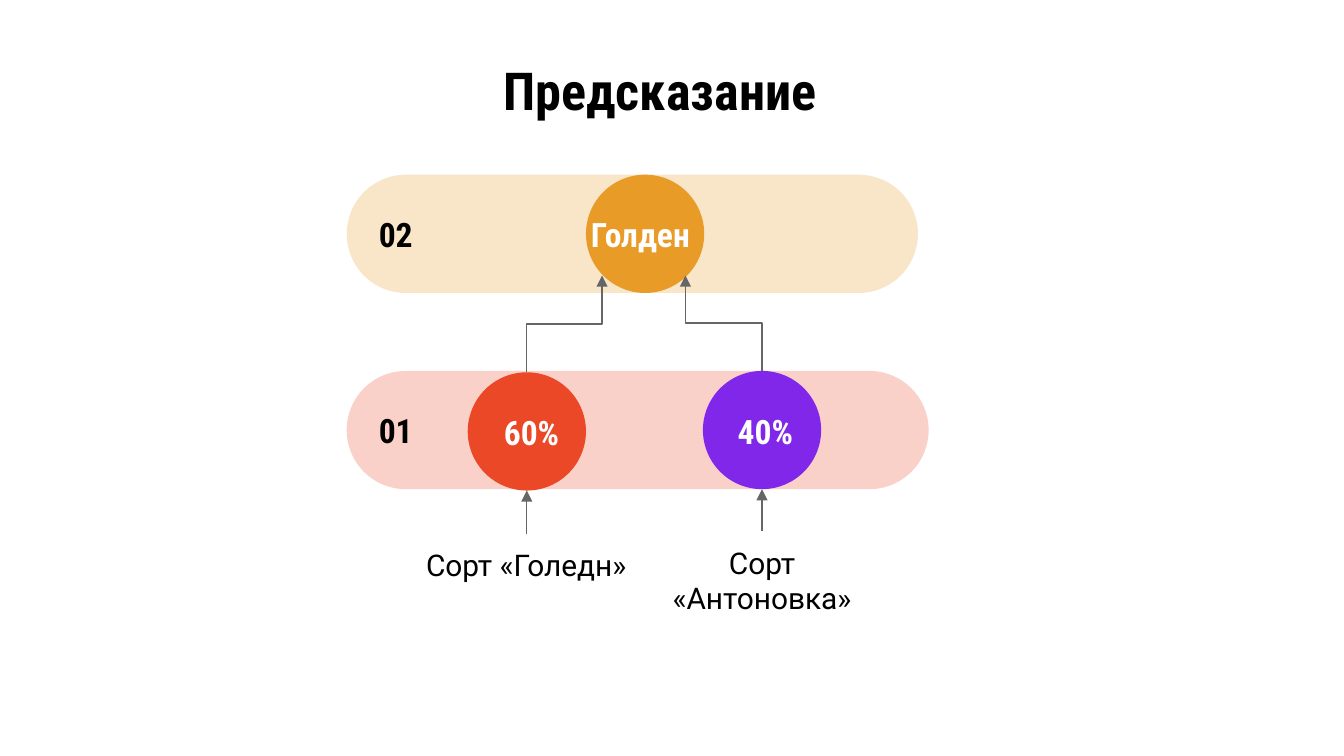
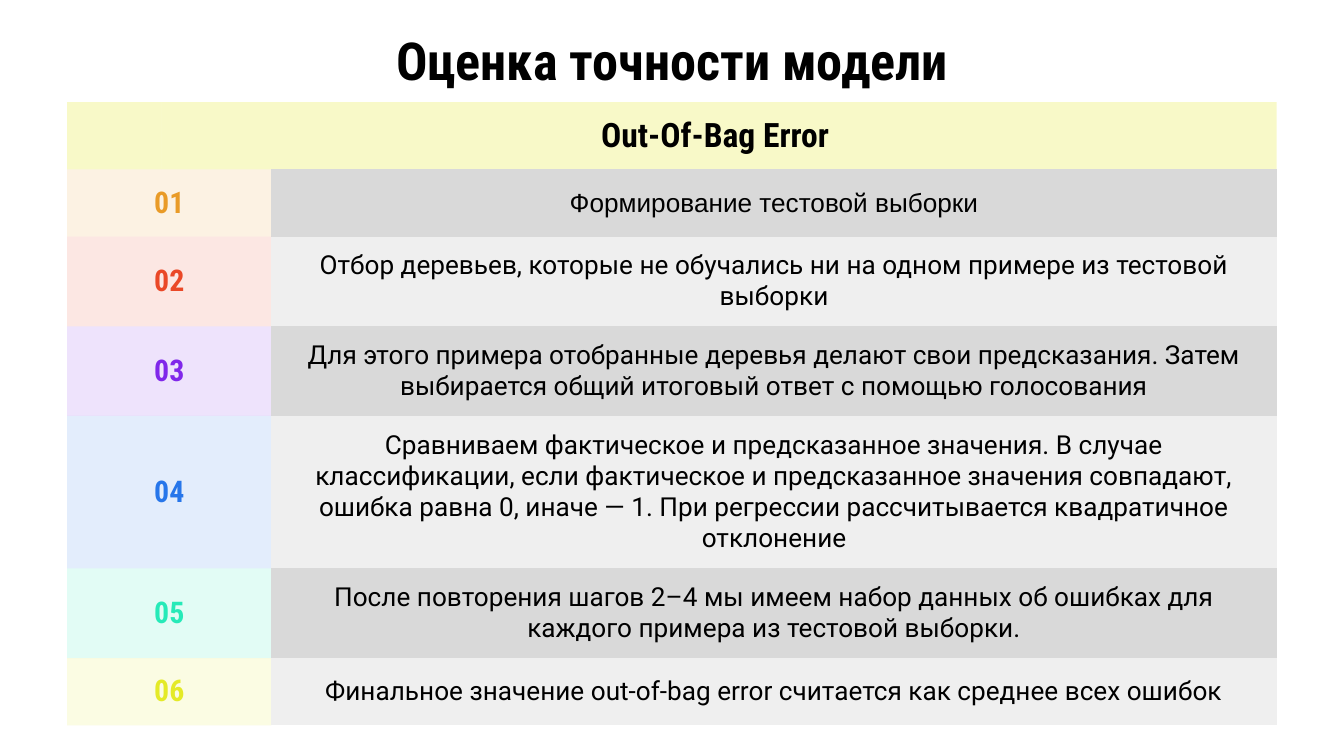
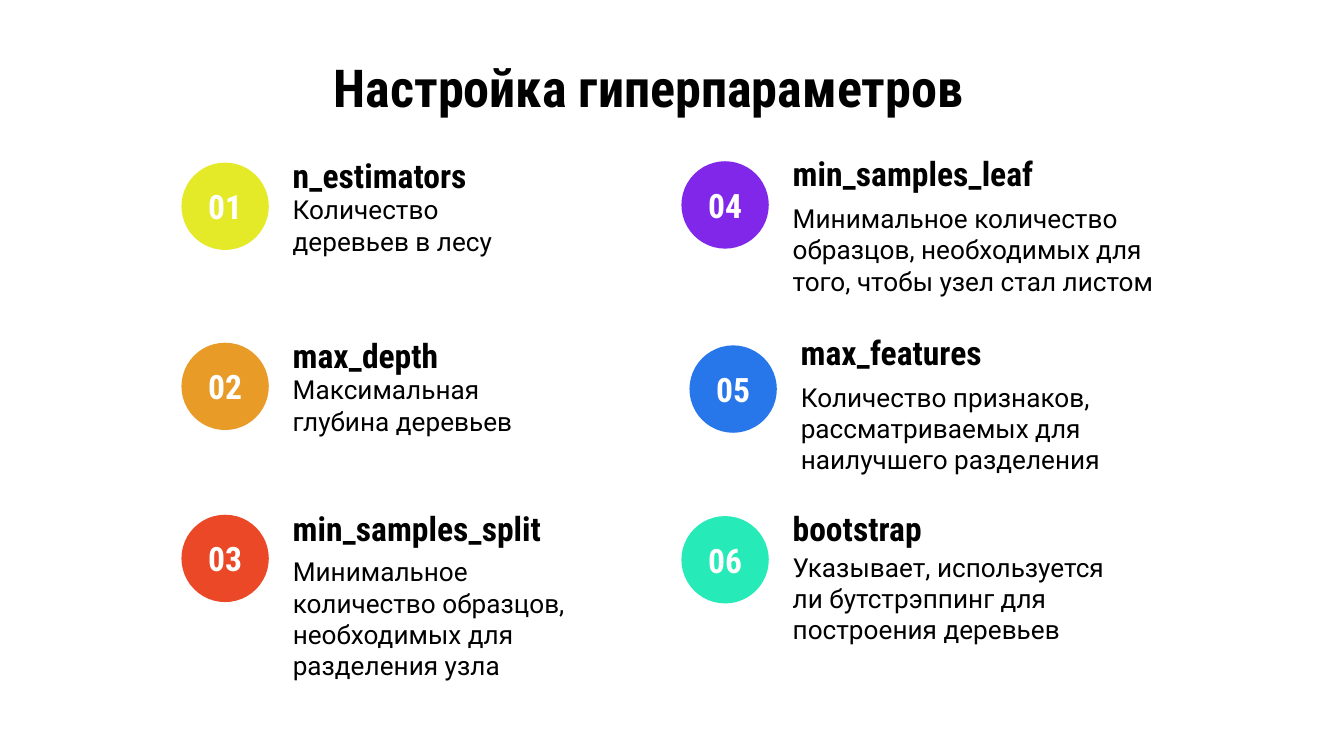
"""Build three slides on random forests: prediction, accuracy and hyperparameters."""
from pptx import Presentation
from pptx.dml.color import RGBColor
from pptx.enum.shapes import MSO_CONNECTOR, MSO_SHAPE
from pptx.enum.text import MSO_ANCHOR, PP_ALIGN
from pptx.oxml.ns import qn
from pptx.oxml.xmlchemy import OxmlElement
from pptx.util import Inches, Pt

CELL = Inches(0.1)
COLUMNS, ROWS = 100, 56.25
HEADING, BODY = "Roboto Condensed", "Roboto"
BLACK, WHITE, GREY = "000000", "FFFFFF", "666666"
ORANGE, RED, VIOLET = "E99B27", "EA4827", "8027EA"
BLUE, MINT, YELLOW = "2776EA", "26EAB8", "E4EA27"
STRIPES = "D9D9D9", "EFEFEF"
NO_TABLE_STYLE = "{2D5ABB26-0587-4C30-8999-92F81FD0307C}"


def rgb(code):
    return RGBColor.from_string(code)


def grid(*cells):
    return [round(cell * CELL) for cell in cells]


def paint(fill, color, opacity=100):
    fill.solid()
    fill.fore_color.rgb = rgb(color)
    if opacity < 100:
        alpha = OxmlElement("a:alpha")
        alpha.set("val", str(opacity * 1000))
        next(fill._xPr.iter(qn("a:srgbClr"))).append(alpha)


def pad(holder, anchor=MSO_ANCHOR.MIDDLE):
    holder.margin_left = holder.margin_right = CELL
    holder.margin_top = holder.margin_bottom = CELL
    holder.vertical_anchor = anchor


def write(frame, text, size=18, font=HEADING, color=BLACK, bold=True, align=PP_ALIGN.CENTER):
    frame.word_wrap = True
    paragraph = frame.paragraphs[0]
    paragraph.alignment = align
    run = paragraph.add_run()
    run.text = text
    run.font.size, run.font.name, run.font.bold = Pt(size), font, bold
    run.font.color.rgb = rgb(color)


class Deck:
    def __init__(self):
        self.presentation = Presentation()
        self.presentation.slide_width, self.presentation.slide_height = grid(COLUMNS, ROWS)

    def start(self, title, left, top):
        self.slide = self.presentation.slides.add_slide(self.presentation.slide_layouts[6])
        paint(self.slide.background.fill, WHITE)
        self.label(title, left, top, 90, 4.1, size=28)

    def label(self, text, left, top, width, height, anchor=MSO_ANCHOR.MIDDLE, **style):
        frame = self.slide.shapes.add_textbox(*grid(left, top, width, height)).text_frame
        pad(frame, anchor)
        write(frame, text, **style)

    def shape(self, preset, color, left, top, width, height, opacity=100):
        shape = self.slide.shapes.add_shape(preset, *grid(left, top, width, height))
        shape.shadow.inherit = False
        shape.line.fill.background()
        paint(shape.fill, color, opacity)
        return shape

    def band(self, number, color, top, width):
        band = self.shape(MSO_SHAPE.ROUNDED_RECTANGLE, color, 25.8, top, width, 8.8, opacity=25)
        band.adjustments[0] = 0.5
        self.label(number, 25.8, top + 2.7, 7.3, 3.4)

    def circle(self, color, left, top, diameter, text=None):
        circle = self.shape(MSO_SHAPE.OVAL, color, left, top, diameter, diameter)
        if text:
            pad(circle.text_frame)
            write(circle.text_frame, text, color=WHITE)

    def arrow(self, kind, *ends):
        arrow = self.slide.shapes.add_connector(kind, *grid(*ends))
        arrow.line.color.rgb = rgb(GREY)
        arrow.line.width = Pt(0.75)
        tip = OxmlElement("a:tailEnd")
        tip.set("type", "triangle")
        arrow.line._get_or_add_ln().append(tip)
        arrow._element.spPr.append(OxmlElement("a:effectLst"))
        return arrow

    def rising_elbow(self, x1, y1, x2, y2):
        middle_x, middle_y = (x1 + x2) / 2, (y1 + y2) / 2
        rise, shift = (y1 - y2) / 2, (x2 - x1) / 2
        elbow = self.arrow(MSO_CONNECTOR.ELBOW, middle_x - rise, middle_y - shift,
                           middle_x + rise, middle_y + shift)
        elbow._element.spPr.find(qn("a:xfrm")).set("rot", str(270 * 60000))

    def table(self, left, top, widths, heights):
        frame = self.slide.shapes.add_table(
            len(heights), len(widths), *grid(left, top, sum(widths), sum(heights)))
        table = frame.table
        table._tbl.tblPr.find(qn("a:tableStyleId")).text = NO_TABLE_STYLE
        table.first_row = table.horz_banding = False
        for column, width in zip(table.columns, grid(*widths)):
            column.width = width
        for row, height in zip(table.rows, grid(*heights)):
            row.height = height
        return table

    def cell(self, cell, text, fill, opacity=100, **style):
        paint(cell.fill, fill, opacity)
        pad(cell)
        if text:
            write(cell.text_frame, text, **style)


def prediction(deck):
    deck.start("Предсказание", 4.1, 4.6)
    deck.band("01", RED, 27.6, 43.3)
    deck.band("02", ORANGE, 13, 42.5)
    deck.circle(ORANGE, 43.6, 13, 8.8)
    trees = [
        ("60%", "Сорт «Голедн»", RED, 34.8, 27.7, 35.9, 44.8, 39.7, 30.7, 16.9),
        ("40%", "Сорт «Антоновка»", VIOLET, 52.3, 27.6, 53.3, 51, 39.5, 48.8, 15.8),
    ]
    for share, sort, color, left, top, share_left, target, sort_top, sort_left, width in trees:
        center = left + 4.4
        deck.circle(color, left, top, 8.8)
        deck.rising_elbow(center, top, target, 20.5)
        deck.arrow(MSO_CONNECTOR.STRAIGHT, center, sort_top, center, top + 8.8)
        deck.label(sort, sort_left, sort_top, width, 3.4, MSO_ANCHOR.TOP,
                   size=16, font=BODY, bold=False)
        deck.label(share, share_left, top + 2.75, 7.3, 3.4, color=WHITE)
    deck.label("Голден", 42.5, 15.7, 10.3, 3.4, color=WHITE)


def accuracy(deck):
    deck.start("Оценка точности модели", 5, 2.4)
    steps = [
        (ORANGE, "Формирование тестовой выборки"),
        (RED, "Отбор деревьев, которые не обучались ни на одном примере из тестовой выборки"),
        (VIOLET, "Для этого примера отобранные деревья делают свои предсказания. "
                 "Затем выбирается общий итоговый ответ с помощью голосования"),
        (BLUE, "Сравниваем фактическое и предсказанное значения. В случае классификации, "
               "если фактическое и предсказанное значения совпадают, ошибка равна 0, "
               "иначе — 1. При регрессии рассчитывается квадратичное отклонение"),
        (MINT, "После повторения шагов 2–4 мы имеем набор данных об ошибках "
               "для каждого примера из тестовой выборки."),
        (YELLOW, "Финальное значение out-of-bag error считается как среднее всех ошибок"),
    ]
    table = deck.table(5, 7.6, [7, 8.2, 74.8], [4.9] + [5] * len(steps))
    table.cell(0, 1).merge(table.cell(0, 2))
    deck.cell(table.cell(0, 0), "", YELLOW, 25)
    deck.cell(table.cell(0, 1), "Out-Of-Bag Error ", YELLOW, 25)
    for row, (color, step) in enumerate(steps, 1):
        table.cell(row, 0).merge(table.cell(row, 1))
        deck.cell(table.cell(row, 0), f"{row:02}", color, 13, size=16, color=color)
        deck.cell(table.cell(row, 2), step, STRIPES[(row - 1) % 2], size=14,
                  font="Arial" if row == 1 else BODY, bold=False)


def hyperparameters(deck):
    deck.start("Настройка гиперпараметров ", 3.7, 4.4)
    parameters = [
        ("n_estimators", "Количество деревьев в лесу",
         YELLOW, 13.5, 12.1, 11.2, 21.7, 3.6),
        ("max_depth", "Максимальная глубина деревьев",
         ORANGE, 13.5, 25.5, 24.6, 21.7, 3.6),
        ("min_samples_split", "Минимальное количество образцов, необходимых для разделения узла",
         RED, 13.5, 38.3, 37.5, 25.8, 9.5),
        ("min_samples_leaf",
         "Минимальное количество образцов, необходимых для того, чтобы узел стал листом",
         VIOLET, 50.7, 12, 11.1, 29.8, 7.4),
        ("max_features", "Количество признаков, рассматриваемых для наилучшего разделения",
         BLUE, 51.3, 25.7, 24.4, 29.8, 7.4),
        ("bootstrap", "Указывает, используется ли бутстрэппинг для построения деревьев",
         MINT, 50.7, 38.4, 37.5, 26.4, 6.5),
    ]
    for number, parameter in enumerate(parameters, 1):
        name, meaning, color, left, badge_top, name_top, width, height = parameter
        deck.circle(color, left, badge_top, 6.5, f"{number:02}")
        deck.label(name, left + 7.3, name_top, 21.7, 3.6, align=PP_ALIGN.LEFT)
        deck.label(meaning, left + 7.3, name_top + 3.75, width, height,
                   size=14, font=BODY, bold=False, align=PP_ALIGN.LEFT)


def main():
    deck = Deck()
    for build in (prediction, accuracy, hyperparameters):
        build(deck)
    deck.presentation.save("out.pptx")


if __name__ == "__main__":
    main()
